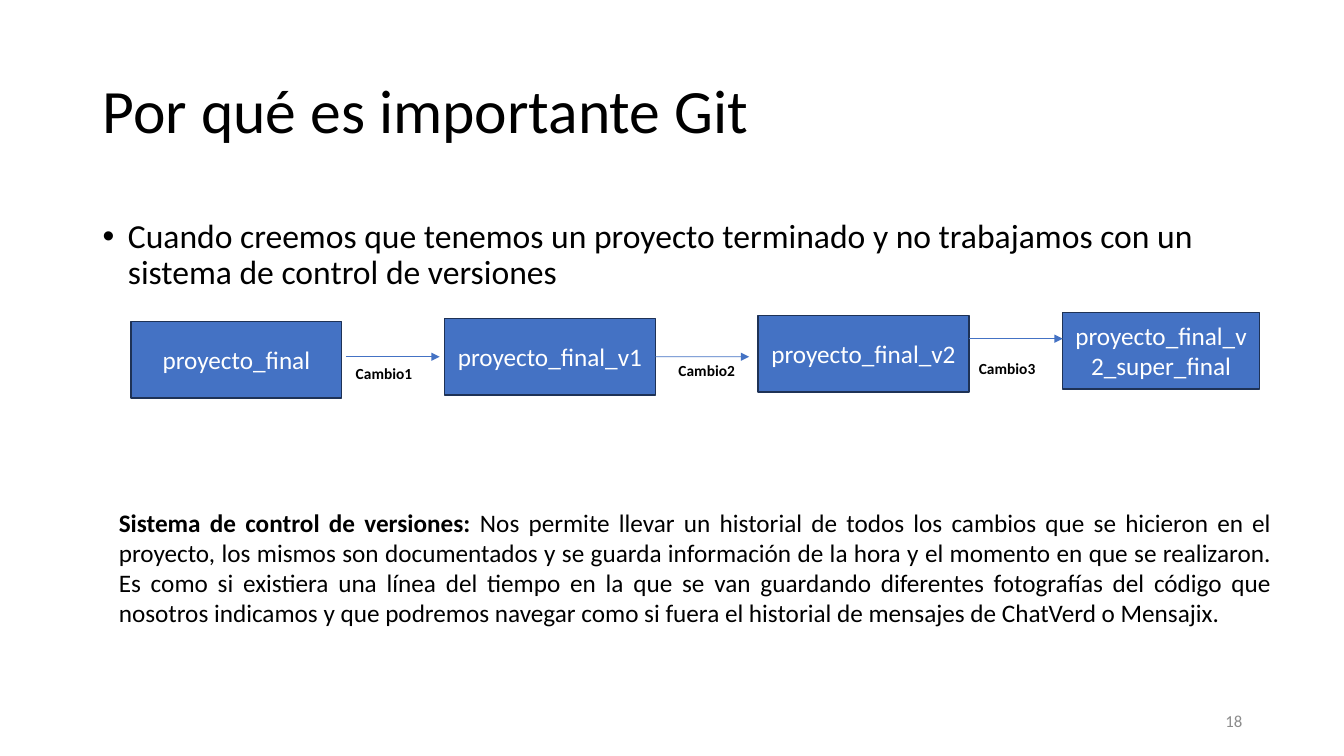
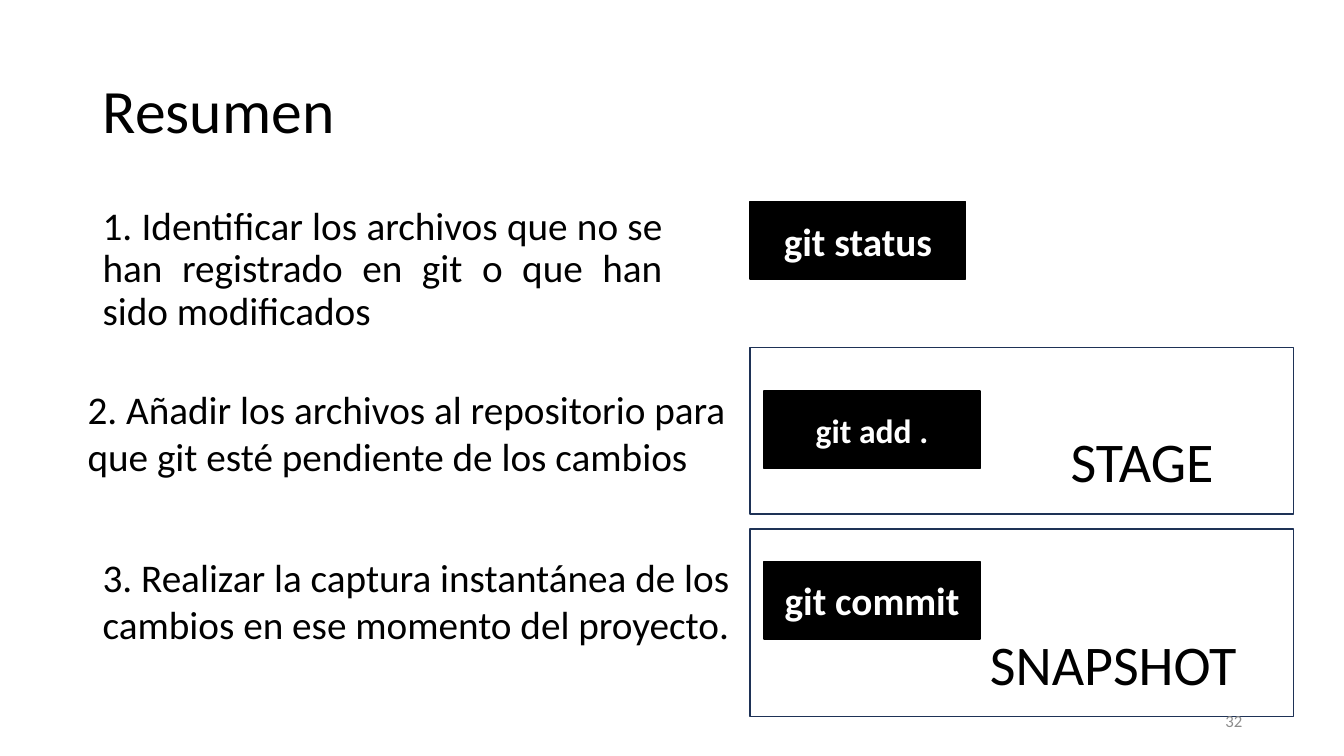
import pptx
import pptx.util
import pptx.oxml
import pptx.dml.color
import pptx.enum.text
import pptx.enum.shapes

Pt = pptx.util.Pt
Align = pptx.enum.text.PP_ALIGN
Anchor = pptx.enum.text.MSO_ANCHOR
Kind = pptx.enum.shapes.MSO_SHAPE
NS = 'xmlns:a="http://schemas.openxmlformats.org/drawingml/2006/main"'

WIDE, HIGH = 13.33, 7.5
FONT = "Calibri"
HUES = {"ink": "000000", "page": "FFFFFF", "blue": "4472C4", "navy": "1E3256", "gray": "8C8C8C"}
TITLE = (6.9, 5.33, 86.27, 19.33)
FOOT = (70.67, 92.67, 22.51, 5.33)

WHY = {
    "title": "Por qué es importante Git",
    "page": "18",
    "lead": "Cuando creemos que tenemos un proyecto terminado y no trabajamos con un sistema de control de versiones",
    "files": ["proyecto_final", "proyecto_final_v1", "proyecto_final_v2", "proyecto_final_v2_super_final"],
    "term": "Sistema de control de versiones: ",
    "note": "Nos permite llevar un historial de todos los cambios que se hicieron en el proyecto, "
            "los mismos son documentados y se guarda información de la hora y el momento en que se realizaron. "
            "Es como si existiera una línea del tiempo en la que se van guardando diferentes fotografías "
            "del código que nosotros indicamos y que podremos navegar como si fuera el historial de mensajes "
            "de ChatVerd o Mensajix.",
}
MOVES = [
    ("Cambio1", 25.73, 47.2, (25.73, 47.47)),
    ("Cambio2", 48.76, 47.2, (49.74, 47.07)),
    ("Cambio3", 72.09, 44.8, (72.09, 46.8)),
]
SUM = {"title": "Resumen", "page": "32"}
STEPS = [
    ("1. Identificar los archivos que no se han registrado en git o que han sido modificados",
     (6.9, 26.67, 43.14, 19.33), {"align": Align.JUSTIFY, "gap": 0.9}),
    ("2. Añadir los archivos al repositorio para que git esté pendiente de los cambios",
     (5.78, 50.27, 50.04, 13.87), {}),
    ("3. Realizar la captura instantánea de los cambios en ese momento del proyecto.",
     (6.9, 72.53, 50.04, 13.87), {}),
]
CALLS = [("git status", 55.81, 26.67, 28), ("git add .", 56.86, 51.73, 24), ("git commit", 56.86, 74.27, 28)]
ZONES = [
    ("STAGE", (55.81, 46, 40.44, 22), (78.92, 55.73, 13.2, 10.27)),
    ("SNAPSHOT", (55.81, 70, 40.44, 24.8), (72.92, 82.67, 20.03, 10.27)),
]


def across(share):
    return pptx.util.Inches(WIDE * share / 100)


def down(share):
    return pptx.util.Inches(HIGH * share / 100)


def area(box):
    left, top, width, height = box
    return across(left), down(top), across(width), down(height)


def hue(name):
    return pptx.dml.color.RGBColor.from_string(HUES[name])


def style(shape, parts, size, color="ink", bold=False, align=Align.LEFT, anchor=Anchor.TOP, gap=None, wrap=True):
    frame = shape.text_frame
    frame.word_wrap = wrap
    frame.vertical_anchor = anchor
    para = frame.paragraphs[0]
    para.alignment = align
    para.line_spacing = gap
    for part in parts:
        run = para.add_run()
        run.text = part
        run.font.name = FONT
        run.font.size = Pt(size)
        run.font.bold = bold
        run.font.color.rgb = hue(color)
    return para


def write(slide, box, text, size, **look):
    shape = slide.shapes.add_textbox(*area(box))
    return style(shape, [text], size, **look)


def block(slide, box, fill, edge):
    shape = slide.shapes.add_shape(Kind.RECTANGLE, *area(box))
    shape.shadow.inherit = False
    if fill:
        shape.fill.solid()
        shape.fill.fore_color.rgb = hue(fill)
    else:
        shape.fill.background()
    shape.line.color.rgb = hue(edge)
    shape.line.width = Pt(1)
    return shape


def arrow(slide, left, top, reach):
    line = slide.shapes.add_connector(
        pptx.enum.shapes.MSO_CONNECTOR.STRAIGHT, across(left), down(top), across(left + reach), down(top))
    line.line.color.rgb = hue("blue")
    line.line.width = Pt(0.5)
    line.line._get_or_add_ln().append(pptx.oxml.parse_xml(f'<a:tailEnd {NS} type="triangle"/>'))
    line._element.spPr.append(pptx.oxml.parse_xml(f"<a:effectLst {NS}/>"))
    return line


def start(deck, data):
    slide = deck.slides.add_slide(deck.slide_layouts[5])
    title = slide.shapes.title
    title.left, title.top, title.width, title.height = area(TITLE)
    style(title, [data["title"]], 44, anchor=Anchor.MIDDLE, gap=0.9)
    return slide


def number(slide, data):
    write(slide, FOOT, data["page"], 12, color="gray", align=Align.RIGHT, anchor=Anchor.MIDDLE)


def why(deck):
    slide = start(deck, WHY)
    lead = write(slide, (6.9, 28.4, 86.27, 30.13), WHY["lead"], 24, gap=0.9)
    props = lead._p.get_or_add_pPr()
    props.set("marL", "228600")
    props.set("indent", "-228600")
    props.append(pptx.oxml.parse_xml(f'<a:buFont {NS} typeface="Arial"/>'))
    props.append(pptx.oxml.parse_xml(f'<a:buChar {NS} char="•"/>'))
    cards = []
    for i, name in enumerate(WHY["files"]):
        last = i == len(WHY["files"]) - 1
        left, width = (79.07, 14.63) if last else (9.75 + 23.33 * i, 15.68)
        card = block(slide, (left, 42.53 - 0.4 * i, width, 10.13), "blue", "navy")
        style(card, [name], 18, color="page", align=Align.CENTER, anchor=Anchor.MIDDLE)
        cards.append(card)
    lines = []
    for text, left, top, spot in MOVES:
        lines.append(arrow(slide, left, top, 6.98))
        write(slide, (*spot, 5.78, 3.87), text, 11, bold=True, wrap=False)
    lines[1].begin_connect(cards[1], 3)
    note = write(slide, (8.1, 66.4, 87.25, 17.47), WHY["term"], 18, bold=True, align=Align.JUSTIFY)
    run = note.add_run()
    run.text = WHY["note"]
    run.font.name = FONT
    run.font.size = Pt(18)
    run.font.color.rgb = hue("ink")
    number(slide, WHY)


def recap(deck):
    slide = start(deck, SUM)
    for text, box, look in STEPS:
        write(slide, box, text, 28, **look)
    for text, left, top, size in CALLS:
        call = block(slide, (left, top, 16.05, 10.27), "ink", "ink")
        style(call, [text], size, color="page", bold=True, align=Align.CENTER, anchor=Anchor.MIDDLE)
    for text, box, spot in ZONES:
        block(slide, box, None, "navy")
        write(slide, spot, text, 40, wrap=False)
    number(slide, SUM)


def main():
    deck = pptx.Presentation()
    deck.slide_width, deck.slide_height = across(100), down(100)
    why(deck)
    recap(deck)
    deck.save("out.pptx")


if __name__ == "__main__":
    main()
